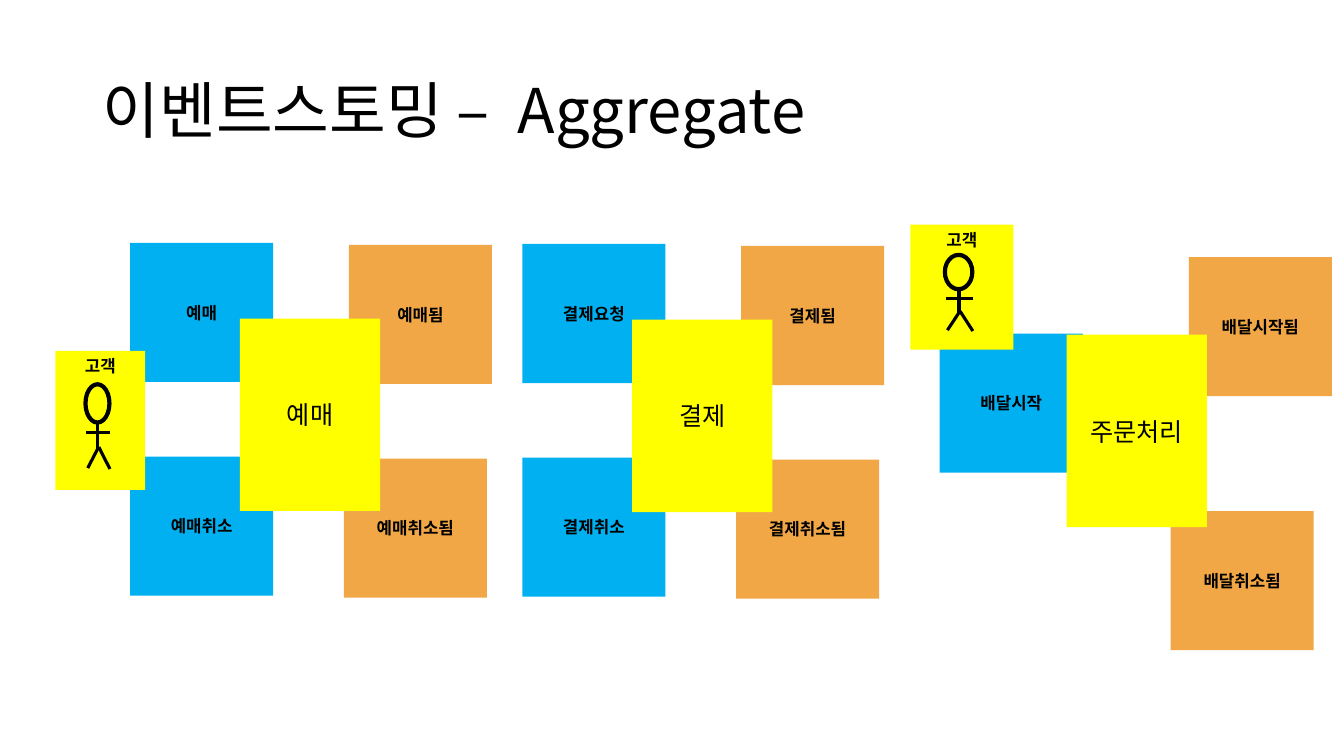
import pptx
import pptx.dml.color
import pptx.enum.shapes
import pptx.enum.text
import pptx.util
from lxml import etree
from pptx.util import Inches

COLORS = {"event": "F1A746", "command": "00B0F0", "aggregate": "FFFF00",
          "customer": "FFFF00", "ink": "000000"}
FONT = "Noto Sans CJK KR"
NOTE_SIZE = (1.42, 1.38)
AGGREGATE_SIZE = (1.39, 1.91)
LIMBS = [(0.345, 0.588, 0.613, 0.588), (0.472, 0.514, 0.472, 0.715),
         (0.472, 0.703, 0.36, 0.843), (0.483, 0.692, 0.607, 0.85)]
PAIRED = {"commands": [(0, 0), (0, 2.12)], "events": [(2.17, 0.02), (2.12, 2.14)],
          "aggregate": (1.09, 0.75)}
DELIVERY = {"commands": [(0, 0)], "events": [(2.47, -0.76), (2.29, 1.76)],
            "aggregate": (1.26, 0.01)}


def rgb(role):
    """Return the colour for a role."""
    return pptx.dml.color.RGBColor.from_string(COLORS[role])


def style_text(paragraph, size, bold=False):
    """Give a paragraph the slide's font."""
    paragraph.font.name = FONT
    paragraph.font.size = pptx.util.Pt(size)
    paragraph.font.bold = bold
    paragraph.font.color.rgb = rgb("ink")
    properties = paragraph.font._element
    etree.SubElement(properties, pptx.oxml.ns.qn("a:ea"), typeface=FONT)


def add_title(slide, left, top, width, height):
    """Place the slide title, with a wider gap after the dash."""
    title = slide.shapes.add_textbox(*map(Inches, (left, top, width, height)))
    title.text_frame.word_wrap = True
    title.text_frame.vertical_anchor = pptx.enum.text.MSO_ANCHOR.MIDDLE
    heading = title.text_frame.paragraphs[0]
    heading.line_spacing = 0.9
    heading.add_run().text = "이벤트스토밍 –"
    gap = heading.add_run()
    gap.text = " "
    gap.font._element.set("spc", "1000")
    heading.add_run().text = "Aggregate"
    style_text(heading, 44)


def add_note(slide, role, label, left, top, width, height, size=12, bold=True):
    """Place one sticky note with its label."""
    note = slide.shapes.add_shape(pptx.enum.shapes.MSO_SHAPE.RECTANGLE,
                                  *map(Inches, (left, top, width, height)))
    note.shadow.inherit = False
    note.fill.solid()
    note.fill.fore_color.rgb = rgb(role)
    note.line.fill.background()
    anchor = pptx.enum.text.MSO_ANCHOR
    note.text_frame.vertical_anchor = anchor.TOP if role == "customer" else anchor.MIDDLE
    note.text_frame.word_wrap = True
    caption = note.text_frame.paragraphs[0]
    caption.text = label
    caption.alignment = pptx.enum.text.PP_ALIGN.CENTER
    style_text(caption, size, bold)


def add_customer(slide, left, top, width, height):
    """Place a customer note with a stick figure scaled to it."""
    add_note(slide, "customer", "고객", left, top, width, height)
    head = slide.shapes.add_shape(
        pptx.enum.shapes.MSO_SHAPE.OVAL, Inches(left + 0.335 * width),
        Inches(top + 0.241 * height), Inches(0.267 * width), Inches(0.275 * height))
    head.shadow.inherit = False
    head.fill.background()
    head.line.color.rgb = rgb("ink")
    head.line.width = pptx.util.Pt(3)
    for x1, y1, x2, y2 in LIMBS:
        limb = slide.shapes.add_connector(
            pptx.enum.shapes.MSO_CONNECTOR.STRAIGHT,
            Inches(left + x1 * width), Inches(top + y1 * height),
            Inches(left + x2 * width), Inches(top + y2 * height))
        limb.line.color.rgb = rgb("ink")
        limb.line.width = pptx.util.Pt(2.25)
        etree.SubElement(limb._element.spPr, pptx.oxml.ns.qn("a:effectLst"))


def add_cluster(slide, left, top, layout, aggregate, commands, events, customer=None):
    """Place an aggregate over its commands, events and optional customer."""
    for role, labels in (("event", events), ("command", commands)):
        for label, (dx, dy) in zip(labels, layout[role + "s"]):
            add_note(slide, role, label, left + dx, top + dy, *NOTE_SIZE)
    if customer:
        dx, dy, width, height = customer
        add_customer(slide, left + dx, top + dy, width, height)
    dx, dy = layout["aggregate"]
    add_note(slide, "aggregate", aggregate, left + dx, top + dy, *AGGREGATE_SIZE,
             size=18, bold=False)


def main():
    """Build and save the slide."""
    deck = pptx.Presentation()
    deck.slide_width, deck.slide_height = Inches(13.33), Inches(7.5)
    slide = deck.slides.add_slide(deck.slide_layouts[6])
    add_title(slide, 0.92, 0.4, 11.5, 1.45)
    add_cluster(slide, 1.29, 2.41, PAIRED, "예매", ["예매", "예매취소"],
                ["예매됨", "예매취소됨"], customer=(-0.74, 1.07, 0.89, 1.38))
    add_cluster(slide, 5.18, 2.42, PAIRED, "결제", ["결제요청", "결제취소"],
                ["결제됨", "결제취소됨"])
    add_cluster(slide, 9.32, 3.31, DELIVERY, "주문처리", ["배달시작"],
                ["배달시작됨", "배달취소됨"], customer=(-0.29, -1.08, 1.02, 1.24))
    deck.save("out.pptx")


if __name__ == "__main__":
    main()
